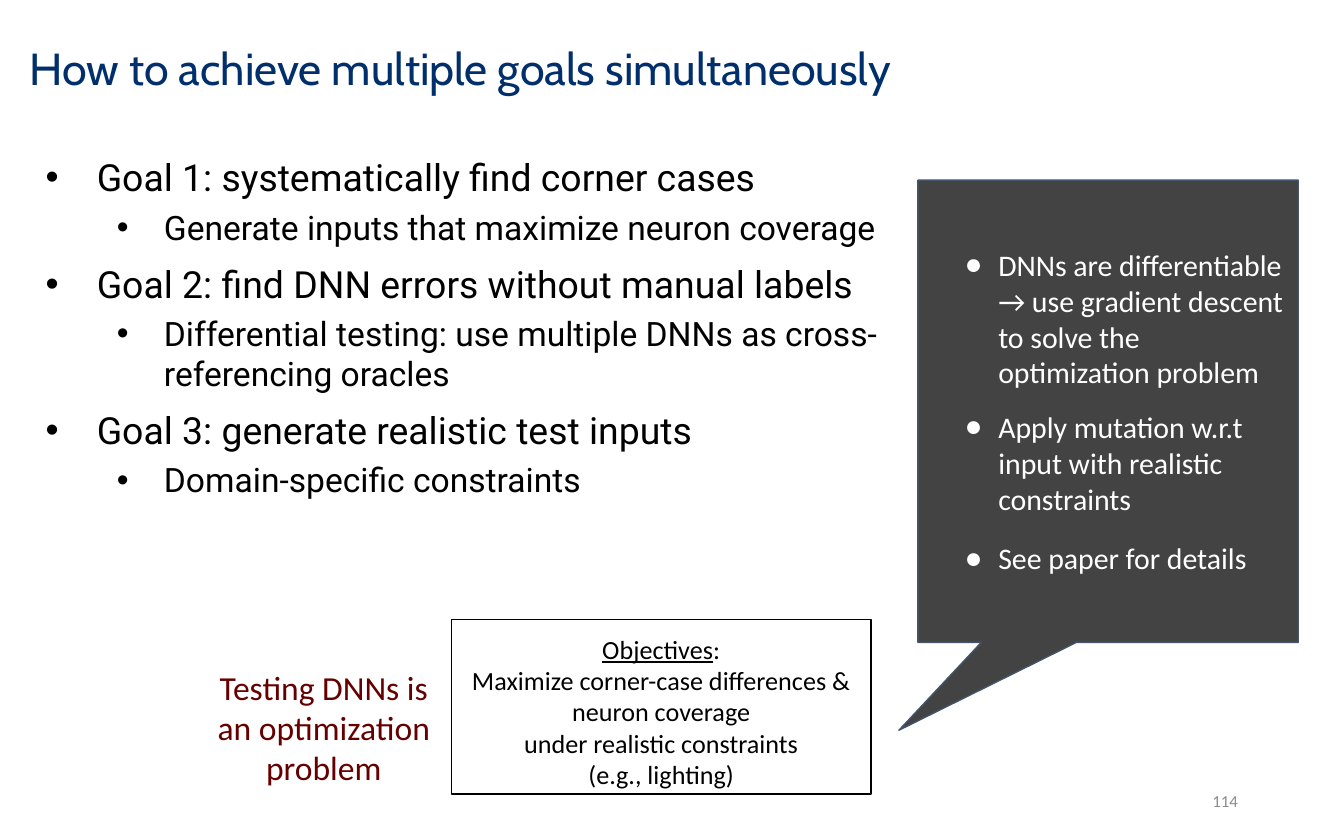
from dataclasses import dataclass

from lxml.etree import SubElement
from pptx import Presentation
from pptx.dml.color import RGBColor
from pptx.enum.shapes import MSO_SHAPE
from pptx.enum.text import MSO_ANCHOR, MSO_AUTO_SIZE, PP_ALIGN
from pptx.oxml.ns import qn
from pptx.util import Pt

PX = 9144
BLACK, WHITE, NAVY, WINE, GRAY = "000000", "FFFFFF", "002F6C", "660000", "8C8C8C"
DARK, SLATE = "434343", "44546A"
LEFT, MID, RIGHT = PP_ALIGN.LEFT, PP_ALIGN.CENTER, PP_ALIGN.RIGHT


@dataclass
class Box:
    """Place and size in px."""
    x: int
    y: int
    w: int
    h: int


@dataclass
class Style:
    """Look of a line of text."""
    font: str
    size: int
    color: str
    align: PP_ALIGN = LEFT


@dataclass
class Bullet:
    """Sign, indent in px and gaps in points."""
    sign: str
    left: int
    hang: int
    before: float = 0
    after: float = 0


@dataclass
class Line:
    """One line of text with its look."""
    text: str
    style: Style
    bullet: Bullet | None = None
    pitch: float = 1.0


def paint(target, color: str) -> None:
    """Give a fill or a font one solid colour."""
    if hasattr(target, "solid"):
        target.solid()
        target.fore_color.rgb = RGBColor.from_string(color)
    else:
        target.color.rgb = RGBColor.from_string(color)


def place(shape, box: Box) -> None:
    """Move a shape to its box."""
    shape.left, shape.top = box.x * PX, box.y * PX
    shape.width, shape.height = box.w * PX, box.h * PX


def mark(para, bullet: Bullet, color: str) -> None:
    """Add a coloured bullet to a paragraph."""
    props = para._p.get_or_add_pPr()
    props.set("marL", str(bullet.left * PX))
    props.set("indent", str(-bullet.hang * PX))
    tint = SubElement(props, qn("a:buClr"))
    SubElement(tint, qn("a:srgbClr"), val=color)
    SubElement(props, qn("a:buFont"), typeface="Arial")
    SubElement(props, qn("a:buChar"), char=bullet.sign)


def write(shape, lines: list[Line], anchor=MSO_ANCHOR.TOP, side: int = 10, edge: int = 10) -> None:
    """Fill a shape with styled lines."""
    frame = shape.text_frame
    frame.text = "\n".join(line.text for line in lines)
    frame.word_wrap = True
    frame.auto_size = MSO_AUTO_SIZE.NONE
    frame.vertical_anchor = anchor
    frame.margin_left = frame.margin_right = side * PX
    frame.margin_top = frame.margin_bottom = edge * PX
    for rank, (para, line) in enumerate(zip(frame.paragraphs, lines)):
        style, bullet = line.style, line.bullet
        para.alignment = style.align
        para.line_spacing = line.pitch
        para.space_before = Pt(bullet.before if bullet and rank else 0)
        para.space_after = Pt(bullet.after if bullet else 0)
        if bullet:
            mark(para, bullet, style.color)
        for run in para.runs:
            run.font.name, run.font.size = style.font, Pt(style.size)
            paint(run.font, style.color)


def add_box(slide, kind: MSO_SHAPE, box: Box, edge: str, fill: str | None = None):
    """Add a flat shape with a thin edge."""
    shape = slide.shapes.add_shape(kind, *(n * PX for n in (box.x, box.y, box.w, box.h)))
    shape.shadow.inherit = False
    if fill:
        paint(shape.fill, fill)
    else:
        shape.fill.background()
    paint(shape.line.fill, edge)
    shape.line.width = Pt(0.75)
    return shape


def add_label(slide, box: Box, line: Line, **frame) -> None:
    """Add a text box with one line."""
    label = slide.shapes.add_textbox(0, 0, 0, 0)
    place(label, box)
    write(label, [line], **frame)


def main() -> None:
    """Build the slide and save it."""
    deck = Presentation()
    deck.slide_width, deck.slide_height = 1000 * PX, 625 * PX
    slide = deck.slides.add_slide(deck.slide_layouts[1])

    title, body = slide.shapes.title, slide.placeholders[1]
    place(title, Box(12, 10, 852, 86))
    head = Line("How to achieve multiple goals simultaneously", Style("Cabin", 24, NAVY), pitch=0.9)
    write(title, [head], MSO_ANCHOR.MIDDLE)

    goals = [
        ("Goal 1: systematically find corner cases",
         "Generate inputs that maximize neuron coverage"),
        ("Goal 2: find DNN errors without manual labels",
         "Differential testing: use multiple DNNs as cross-referencing oracles"),
        ("Goal 3: generate realistic test inputs",
         "Domain-specific constraints"),
    ]
    levels = [
        (Style("Roboto", 20, BLACK), Bullet("•", 50, 38, before=7.5)),
        (Style("Roboto", 18, BLACK), Bullet("•", 100, 35, before=3.8)),
    ]
    place(body, Box(12, 105, 658, 458))
    write(body, [Line(text, *level) for pair in goals for text, level in zip(pair, levels)])
    for rank, para in enumerate(body.text_frame.paragraphs):
        para.level = rank % len(levels)

    add_label(slide, Box(706, 579, 225, 33), Line("114", Style("Calibri", 9, GRAY, RIGHT)),
              anchor=MSO_ANCHOR.MIDDLE)

    aims = add_box(slide, MSO_SHAPE.RECTANGLE, Box(336, 461, 312, 130), BLACK)
    plain = Style("Calibri", 14, BLACK, MID)
    texts = ["Objectives", "Maximize corner-case differences & neuron coverage",
             "under realistic constraints", "(e.g., lighting)"]
    write(aims, [Line(text, plain) for text in texts])
    first = aims.text_frame.paragraphs[0]
    first.runs[0].font.underline = True
    colon = first.add_run()
    colon.text = ":"
    colon.font.name, colon.font.size = plain.font, Pt(plain.size)
    paint(colon.font, plain.color)

    add_label(slide, Box(138, 490, 206, 63),
              Line("Testing DNNs is an optimization problem", Style("Calibri", 18, WINE, MID)),
              side=12, edge=6)

    note = add_box(slide, MSO_SHAPE.RECTANGULAR_CALLOUT, Box(683, 134, 283, 344), SLATE, DARK)
    note.adjustments[0], note.adjustments[1] = -0.55, 0.69
    light = Style("Calibri", 16, WHITE)
    dot, last = Bullet("●", 50, 25, after=10), Bullet("●", 50, 25, after=16)
    write(note, [
        Line("DNNs are differentiable → use gradient descent to solve the optimization problem",
             light, dot),
        Line("Apply mutation w.r.t input with realistic constraints", light, dot),
        Line("See paper for details", light, last, 1.15),
    ], MSO_ANCHOR.MIDDLE)

    deck.save("out.pptx")


if __name__ == "__main__":
    main()
